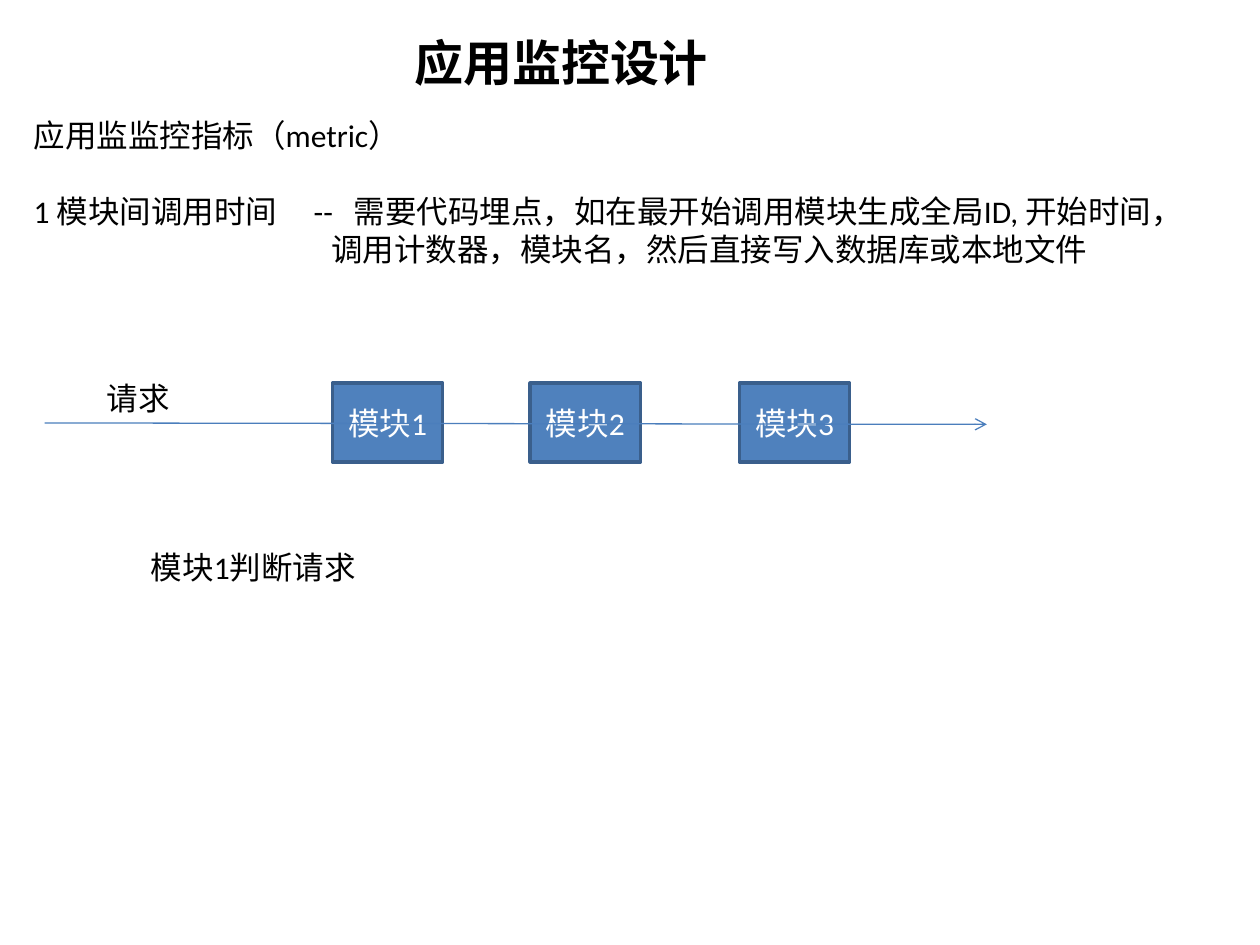
from dataclasses import dataclass

from lxml.etree import SubElement
from pptx import Presentation
from pptx.dml.color import RGBColor as RGB
from pptx.enum.shapes import MSO_CONNECTOR as Connector, MSO_SHAPE as Shape
from pptx.enum.text import MSO_ANCHOR as Anchor, MSO_AUTO_SIZE as AutoSize, PP_ALIGN as Align
from pptx.oxml.ns import qn
from pptx.util import Pt


@dataclass(frozen=True)
class Theme:
    """Colours, font and type sizes of the slide."""
    font: str = "Calibri"
    title: float = 28
    body: float = 18
    ink: RGB = RGB(0, 0, 0)
    light: RGB = RGB(255, 255, 255)
    fill: RGB = RGB(0x4F, 0x81, 0xBD)
    border: RGB = RGB(0x3A, 0x5F, 0x8C)
    flow: RGB = RGB(0x4B, 0x7E, 0xBC)


@dataclass(frozen=True)
class Para:
    """One paragraph, with lengths in points."""
    text: str
    before: float = 0
    indent: float = 0
    tabs: tuple[float, ...] = ()


@dataclass(frozen=True)
class Label:
    """A text box, with lengths in points."""
    x: float
    y: float
    w: float
    h: float
    paras: tuple[Para, ...]
    size: float
    bold: bool = False


@dataclass(frozen=True)
class Module:
    """A module box on the request line."""
    text: str
    x: float


THEME = Theme()
MODULE_Y, MODULE_W, MODULE_H = 219, 63, 45

LABELS = (
    Label(229.7, 15.1, 185, 41, (Para("应用监控设计"),), THEME.title, True),
    Label(12.2, 62.6, 665.3, 116.6, (
        Para("应用监监控指标（metric）"),
        Para("1 模块间调用时间\t--\t需要代码埋点，如在最开始调用模块生成全局ID, 开始时间，",
             before=22, tabs=(160, 183)),
        Para("调用计数器，模块名，然后直接写入数据库或本地文件", indent=170),
    ), THEME.body),
    Label(54, 213.1, 51.1, 28.8, (Para("请求"),), THEME.body),
    Label(79.2, 309.6, 132.5, 28.8, (Para("模块1判断请求"),), THEME.body),
)
MODULES = (Module("模块1", 190), Module("模块2", 303), Module("模块3", 422.5))


def add_run(p, text: str, size: float, color: RGB, bold: bool = False) -> None:
    """Add one formatted run to a paragraph."""
    r = p.add_run()
    r.text = text
    r.font.name, r.font.size, r.font.bold = THEME.font, Pt(size), bold
    r.font.color.rgb = color


def format_para(p, para: Para) -> None:
    """Apply spacing, indent and tab stops."""
    if para.before:
        p.space_before = Pt(para.before)
    pPr = p._p.get_or_add_pPr()
    if para.indent:
        pPr.set("marL", str(Pt(para.indent)))
        pPr.set("indent", "0")
    if para.tabs:
        tabs = SubElement(pPr, qn("a:tabLst"))
        for pos in para.tabs:
            SubElement(tabs, qn("a:tab"), pos=str(Pt(pos)), algn="l")


def add_label(s, label: Label) -> None:
    """Draw a text box that grows with its text."""
    sp = s.shapes.add_textbox(Pt(label.x), Pt(label.y), Pt(label.w), Pt(label.h))
    tf = sp.text_frame
    tf.word_wrap = False
    tf.auto_size = AutoSize.SHAPE_TO_FIT_TEXT
    for i, para in enumerate(label.paras):
        p = tf.add_paragraph() if i else tf.paragraphs[0]
        format_para(p, para)
        add_run(p, para.text, label.size, THEME.ink, label.bold)


def add_module(s, module: Module) -> None:
    """Draw a module box."""
    sp = s.shapes.add_shape(Shape.RECTANGLE, Pt(module.x), Pt(MODULE_Y),
                            Pt(MODULE_W), Pt(MODULE_H))
    sp.shadow.inherit = False
    sp.fill.solid()
    sp.fill.fore_color.rgb = THEME.fill
    sp.line.color.rgb, sp.line.width = THEME.border, Pt(2)
    tf = sp.text_frame
    tf.word_wrap, tf.vertical_anchor = True, Anchor.MIDDLE
    p = tf.paragraphs[0]
    p.alignment = Align.CENTER
    add_run(p, module.text, THEME.body, THEME.light)


def add_flow(s, x1: float, y1: float, x2: float, y2: float) -> None:
    """Draw the request arrow through the modules."""
    line = s.shapes.add_connector(Connector.STRAIGHT, Pt(x1), Pt(y1), Pt(x2), Pt(y2))
    line.line.color.rgb, line.line.width = THEME.flow, Pt(0.75)
    SubElement(line.line._get_or_add_ln(), qn("a:tailEnd"), type="arrow")
    SubElement(line._element.spPr, qn("a:effectLst"))


def main() -> None:
    """Build and save the slide."""
    prs = Presentation()
    prs.slide_width, prs.slide_height = Pt(720), Pt(540)
    s = prs.slides.add_slide(prs.slide_layouts[6])
    for label in LABELS[:2]:
        add_label(s, label)
    for module in MODULES:
        add_module(s, module)
    add_flow(s, 25.5, 241.7, 563.9, 242.5)
    for label in LABELS[2:]:
        add_label(s, label)
    prs.save("out.pptx")


main()
